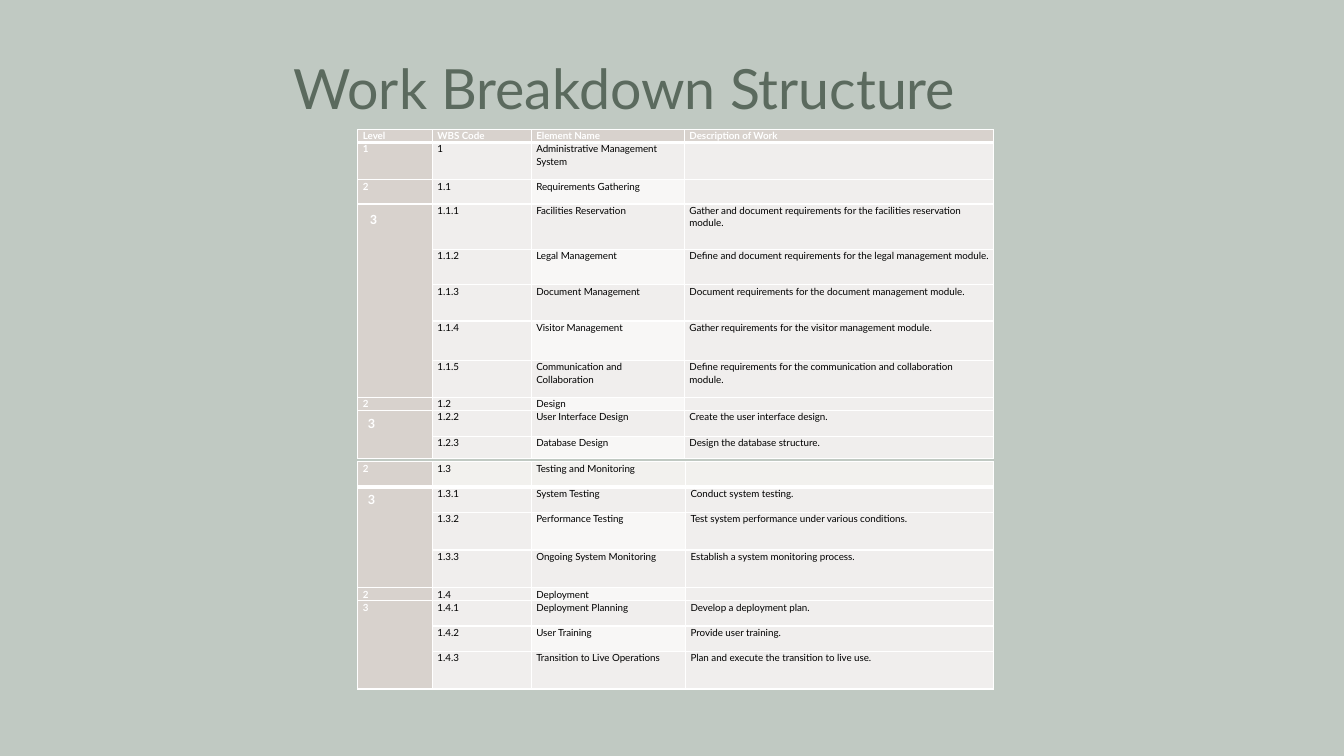
from lxml import etree
from pptx import Presentation
from pptx.dml.color import RGBColor
from pptx.enum import text
from pptx.oxml import ns
from pptx.util import Pt

COLORS = {
    "background": "C0C9C2",
    "title": "5B6A5E",
    "level": "D8D2CD",
    "body": "F0EEED",
    "band": "F8F7F6",
    "testing": "F2F1EE",
    "white": "FFFFFF",
    "black": "000000",
}

TIGHT = {"margin_left": 3.6, "margin_right": 3.6, "margin_top": 0, "margin_bottom": 0}
ROOMY = {"margin_left": 7.2, "margin_right": 7.2, "margin_top": 3.6, "margin_bottom": 3.6}
WIDE = {"margin_left": 8.64, "margin_right": 8.64, "margin_top": 4.32, "margin_bottom": 4.32}
SPACED = {"line_spacing": 1.07, "space_after": Pt(8)}

LEVEL_STYLES = {
    "1.1.1": (WIDE, SPACED, {"size": Pt(10), "name": "Calibri"}),
    "1.2.2": (ROOMY, {}, {"size": Pt(9)}),
    "1.3.1": (ROOMY, {}, {"size": Pt(9)}),
}

PLANNING_ROWS = [
    (9.4, "Level", "WBS Code", "Element Name", "Description of Work"),
    (26.6, "1", "1", "Administrative Management System", ""),
    (17.3, "2", "1.1", "Requirements Gathering", ""),
    (32.4, "3", "1.1.1", "Facilities Reservation",
     "Gather and document requirements for the facilities reservation module."),
    (25.2, "", "1.1.2", "Legal Management",
     "Define and document requirements for the legal management module."),
    (25.9, "", "1.1.3", "Document Management",
     "Document requirements for the document management module."),
    (28.1, "", "1.1.4", "Visitor Management",
     "Gather requirements for the visitor management module."),
    (26.6, "", "1.1.5", "Communication and Collaboration",
     "Define requirements for the communication and collaboration module."),
    (9.4, "2", "1.2", "Design", ""),
    (18.4, "3", "1.2.2", "User Interface Design", "Create the user interface design."),
    (16.1, "", "1.2.3", "Database Design", "Design the database structure."),
]

DELIVERY_ROWS = [
    (18, "2", "1.3", "Testing and Monitoring", ""),
    (18, "3", "1.3.1", "System Testing", "Conduct system testing."),
    (27, "", "1.3.2", "Performance Testing",
     "Test system performance under various conditions."),
    (27, "", "1.3.3", "Ongoing System Monitoring",
     "Establish a system monitoring process."),
    (9.4, "2", "1.4", "Deployment", ""),
    (18, "3", "1.4.1", "Deployment Planning", "Develop a deployment plan."),
    (18, "", "1.4.2", "User Training", "Provide user training."),
    (27, "", "1.4.3", "Transition to Live Operations",
     "Plan and execute the transition to live use."),
]


def rgb(color):
    return RGBColor.from_string(COLORS[color])


def set_attributes(target, values):
    for name, value in values.items():
        setattr(target, name, value)


def write(p, content, color, font):
    r = p.add_run()
    r.text = content
    set_attributes(r.font, font)
    r.font.color.rgb = rgb(color)


def add_title(s, content):
    box = s.shapes.add_textbox(Pt(202.3), Pt(39.6), Pt(555.1), Pt(51.8))
    tf = box.text_frame
    set_attributes(tf, {"word_wrap": True, "vertical_anchor": text.MSO_ANCHOR.MIDDLE})
    p = tf.paragraphs[0]
    p.line_spacing = 0.9
    write(p, content, "title", {"size": Pt(39.6), "name": "Lato"})


def set_borders(cell, top, bottom):
    tc_pr = cell._tc.get_or_add_tcPr()
    sides = {"lnL": 1, "lnR": 1, "lnT": top, "lnB": bottom}
    for i, (side, width) in enumerate(sides.items()):
        line = etree.Element(ns.qn(f"a:{side}"), w=str(Pt(width)))
        fill = etree.SubElement(line, ns.qn("a:solidFill"))
        etree.SubElement(fill, ns.qn("a:srgbClr"), val=COLORS["white"])
        tc_pr.insert(i, line)


def fill_cell(cell, content, fill, color, bold, style):
    margins, spacing, font = style
    set_attributes(cell, {name: Pt(value) for name, value in margins.items()})
    cell.fill.solid()
    cell.fill.fore_color.rgb = rgb(fill)
    p = cell.text_frame.paragraphs[0]
    set_attributes(p, spacing)
    if content:
        write(p, content, color, {"size": Pt(7), "name": "Lato", "bold": bold, **font})
    else:
        etree.SubElement(p._p, ns.qn("a:endParaRPr"), sz="700")


def cell_fill(row, column, first_fill):
    if column == 0:
        return "level"
    if row == 0:
        return first_fill
    return "band" if column == 2 and row % 2 == 0 else "body"


def merge_levels(table, rows):
    starts = [i for i, row in enumerate(rows) if row[1]]
    for start, following in zip(starts, starts[1:] + [len(rows)]):
        if following - start > 1:
            table.cell(start, 0).merge(table.cell(following - 1, 0))


def add_wbs_table(s, top, widths, rows, first_fill):
    height = sum(row[0] for row in rows)
    frame = s.shapes.add_table(len(rows), len(widths), Pt(255.6), Pt(top),
                               Pt(sum(widths)), Pt(height))
    table = frame.table
    set_attributes(table, {"first_row": False, "horz_banding": False})
    for column, width in zip(table.columns, widths):
        column.width = Pt(width)
    for i, (row_height, *contents) in enumerate(rows):
        table.rows[i].height = Pt(row_height)
        for j, content in enumerate(contents):
            cell = table.cell(i, j)
            heading = j == 0 or contents[0] == "Level"
            style = (TIGHT, SPACED, {})
            if j == 0:
                style = LEVEL_STYLES.get(contents[1], style)
            fill_cell(cell, content, cell_fill(i, j, first_fill),
                      "white" if heading else "black", heading, style)
            set_borders(cell, 3 if i == 1 else 1, 3 if i == 0 else 1)
    merge_levels(table, rows)


def main():
    prs = Presentation()
    set_attributes(prs, {"slide_width": Pt(960), "slide_height": Pt(540)})
    s = prs.slides.add_slide(prs.slide_layouts[6])
    s.background.fill.solid()
    s.background.fill.fore_color.rgb = rgb("background")
    add_title(s, "Work Breakdown Structure")
    add_wbs_table(s, 92.5, (53.3, 70.6, 109.4, 221), PLANNING_ROWS, "level")
    add_wbs_table(s, 329.8, (53.3, 70.6, 110.2, 220.3), DELIVERY_ROWS, "testing")
    prs.save("out.pptx")


if __name__ == "__main__":
    main()
